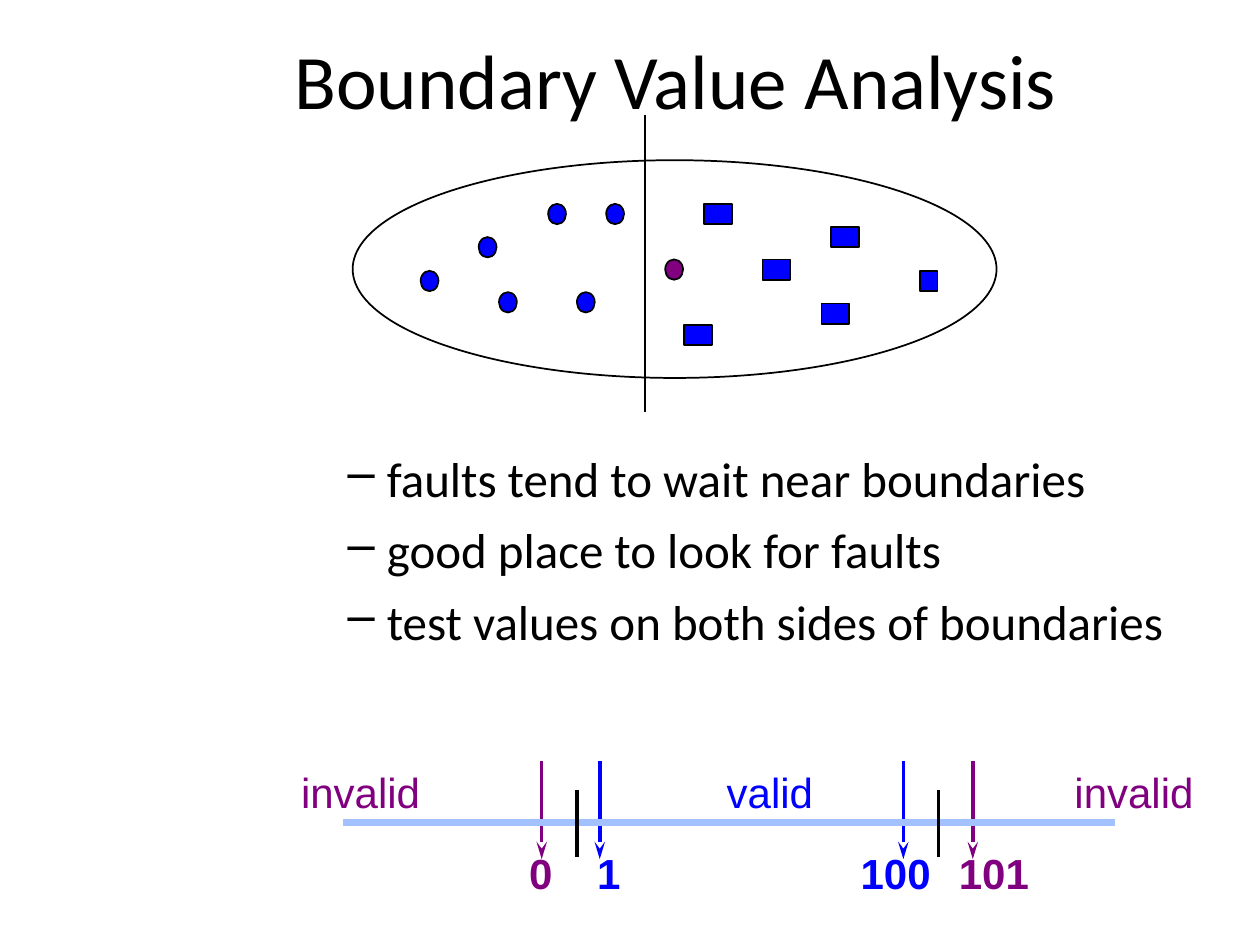
from typing import NamedTuple

from lxml import etree
from pptx import Presentation
from pptx.dml.color import RGBColor
from pptx.enum.shapes import MSO_CONNECTOR, MSO_SHAPE as Shape
from pptx.enum.text import MSO_ANCHOR as Anchor, MSO_AUTO_SIZE as AutoSize
from pptx.oxml.ns import qn
from pptx.util import Cm, Pt

BLACK, BLUE, PURPLE, PALE_BLUE = "000000", "0000FF", "800080", "A2C1FE"


class Marker(NamedTuple):
    x: float
    y: float
    width: float = 0.36
    kind: Shape = Shape.OVAL
    fill: str = BLUE


class Label(NamedTuple):
    text: str
    x: float
    width: float
    color: str


class Arrow(NamedTuple):
    x: float
    color: str


def box(x: float, y: float, width: float = 0.56) -> Marker:
    return Marker(x, y, width, Shape.RECTANGLE)


MARKERS = [
    Marker(11.05, 4.11), Marker(8.48, 5.46), Marker(12.22, 4.11),
    Marker(10.06, 5.89), Marker(9.65, 4.78), Marker(11.63, 5.89),
    Marker(13.41, 5.23, fill=PURPLE),
    box(18.54, 5.46, 0.36), box(14.2, 4.11), box(15.37, 5.23),
    box(13.79, 6.55), box(16.56, 6.12), box(16.76, 4.57),
]
BULLETS = [
    "faults tend to wait near boundaries",
    "good place to look for faults",
    "test values on both sides of boundaries",
]
ARROWS = [Arrow(12.09, BLUE), Arrow(18.21, BLUE),
          Arrow(10.92, PURPLE), Arrow(19.61, PURPLE)]
RANGES = [Label("valid", 14.4, 2.4, BLUE),
          Label("invalid", 21.41, 2.95, PURPLE),
          Label("invalid", 5.82, 2.95, PURPLE)]
VALUES = [Label("1", 11.86, 0.85, BLUE), Label("100", 17.17, 1.8, BLUE),
          Label("101", 19.15, 1.8, PURPLE), Label("0", 10.49, 0.85, PURPLE)]


def rgb(color: str) -> RGBColor:
    return RGBColor.from_string(color)


def add_shape(s, kind: Shape, x: float, y: float, width: float, height: float,
              fill: str | None = None):
    sp = s.shapes.add_shape(kind, Cm(x), Cm(y), Cm(width), Cm(height))
    sp.shadow.inherit = False
    if fill:
        sp.fill.solid()
        sp.fill.fore_color.rgb = rgb(fill)
    else:
        sp.fill.background()
    sp.line.color.rgb = rgb(BLACK)
    sp.line.width = Pt(1)


def add_line(s, x1: float, y1: float, x2: float, y2: float,
             color: str = BLACK, width: float = 1, arrow: bool = False):
    line = s.shapes.add_connector(MSO_CONNECTOR.STRAIGHT,
                                  Cm(x1), Cm(y1), Cm(x2), Cm(y2))
    line.line.color.rgb = rgb(color)
    line.line.width = Pt(width)
    props = line.element.spPr
    if arrow:
        etree.SubElement(props.find(qn("a:ln")), qn("a:tailEnd"),
                         type="stealth", len="lg")
    etree.SubElement(props, qn("a:effectLst"))


def add_text(s, lines: list[str], x: float, y: float, width: float, height: float,
             *, size: float, font: str = "Arial", color: str = BLACK,
             bold: bool = False, wrap: bool = False, anchor: Anchor = Anchor.TOP,
             inset: tuple[float, float] = (0.25, 0.13), spacing: float = 1,
             bullet: str | None = None, gap: float = 0):
    tf = s.shapes.add_textbox(Cm(x), Cm(y), Cm(width), Cm(height)).text_frame
    tf.word_wrap = wrap
    tf.auto_size = AutoSize.NONE if wrap else AutoSize.SHAPE_TO_FIT_TEXT
    tf.vertical_anchor = anchor
    tf.margin_left = tf.margin_right = Cm(inset[0])
    tf.margin_top = tf.margin_bottom = Cm(inset[1])
    for i, text in enumerate(lines):
        p = tf.paragraphs[0] if i == 0 else tf.add_paragraph()
        p.line_spacing = spacing
        if i:
            p.space_before = Pt(gap)
        if bullet:
            add_bullet(p, bullet)
        r = p.add_run()
        r.text = text
        r.font.name, r.font.size, r.font.bold = font, Pt(size), bold
        r.font.color.rgb = rgb(color)


def add_bullet(p, char: str):
    p.level = 1
    props = p._p.get_or_add_pPr()
    props.set("marL", str(Cm(2.06)))
    props.set("indent", str(Cm(-0.79)))
    etree.SubElement(props, qn("a:buChar"), char=char)


def add_partition(s):
    """Draw the oval domain, its faults and the boundary through it."""
    add_shape(s, Shape.OVAL, 7.11, 3.23, 12.98, 4.39)
    for m in MARKERS:
        add_shape(s, m.kind, m.x, m.y, m.width, 0.41, m.fill)
    add_line(s, 13, 2.31, 13, 8.31)


def add_number_line(s):
    for arrow in ARROWS:
        add_line(s, arrow.x, 15.34, arrow.x, 17.32, arrow.color, 2, arrow=True)
    for label in RANGES:
        add_text(s, [label.text], label.x, 15.32, label.width, 1.27,
                 size=24, color=label.color)
    add_line(s, 6.91, 16.59, 22.48, 16.59, PALE_BLUE, 4)
    for x in (11.63, 18.92):
        add_line(s, x, 15.93, x, 17.27, width=2)
    for label in VALUES:
        add_text(s, [label.text], label.x, 17.12, label.width, 1.07, size=24,
                 color=label.color, bold=True, inset=(0.18, 0.08), spacing=0.9)


def main():
    prs = Presentation()
    prs.slide_width, prs.slide_height = Cm(25.4), Cm(19.05)
    s = prs.slides.add_slide(prs.slide_layouts[6])
    add_text(s, ["Boundary Value Analysis"], 5.69, 0, 18.57, 3.18, size=44,
             font="Calibri", wrap=True, anchor=Anchor.MIDDLE)
    add_text(s, BULLETS, 5.49, 8.92, 18.95, 5.21, size=28, font="Calibri",
             wrap=True, bullet="–", gap=7)
    add_partition(s)
    add_number_line(s)
    prs.save("out.pptx")


if __name__ == "__main__":
    main()
